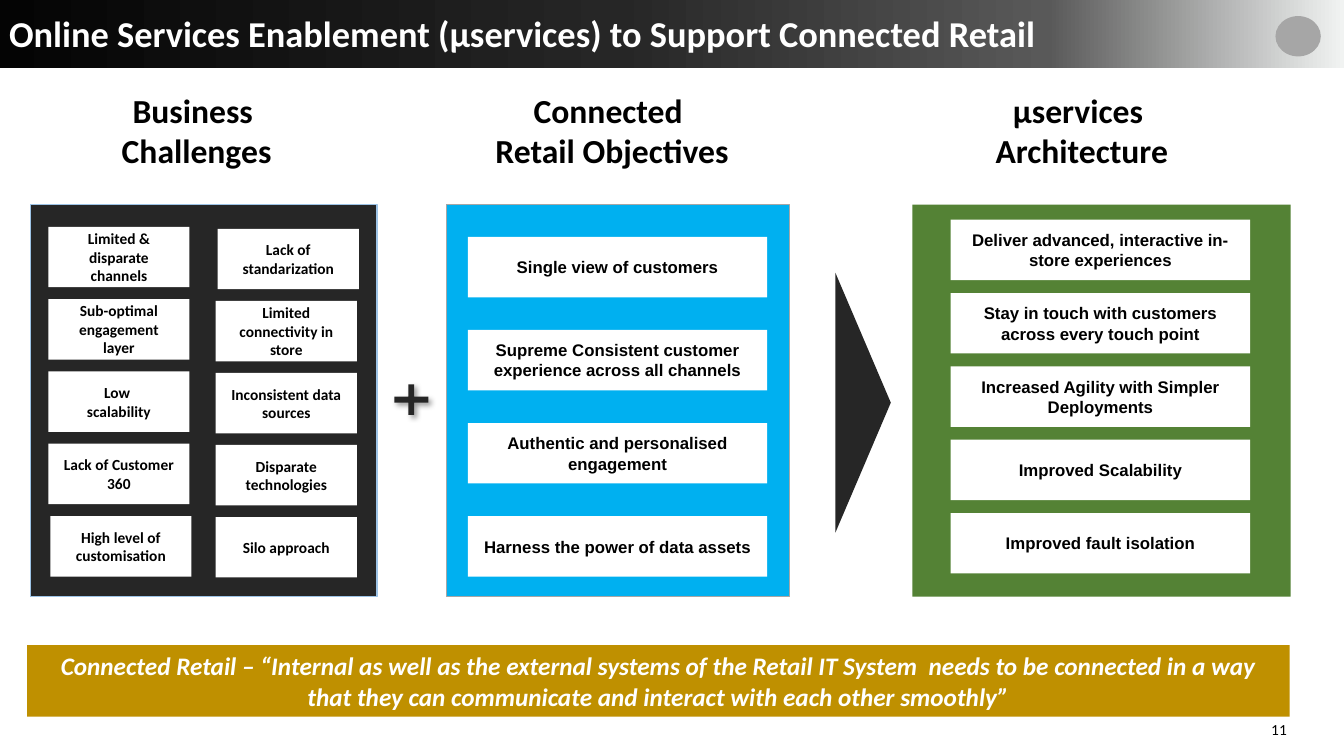
import copy

import pptx
import pptx.dml.color
import pptx.enum.shapes
import pptx.enum.text
import pptx.oxml
import pptx.oxml.ns
import pptx.util
from pptx.util import Inches

SHAPE = pptx.enum.shapes.MSO_SHAPE
ALIGN = pptx.enum.text.PP_ALIGN
ANCHOR = pptx.enum.text.MSO_ANCHOR
qn = pptx.oxml.ns.qn

DARK, WHITE, BLACK, GREY = "262626", "FFFFFF", "000000", "A6A6A6"


def rgb(value):
    return pptx.dml.color.RGBColor.from_string(value)


class SlideBuilder:
    font = "Calibri"
    card_height = 0.6

    def __init__(self, prs):
        self.s = prs.slides.add_slide(prs.slide_layouts[5])

    def shape(self, kind, x, y, w, h, fill, line=None):
        sp = self.s.shapes.add_shape(kind, Inches(x), Inches(y), Inches(w), Inches(h))
        sp.shadow.inherit = False
        sp.fill.solid()
        sp.fill.fore_color.rgb = rgb(fill)
        if line:
            sp.line.color.rgb = rgb(line)
            sp.line.width = pptx.util.Pt(1)
        else:
            sp.line.fill.background()
        return sp

    def add_text(self, sp, text, size, color=BLACK, font=None, bold=True, italic=False,
                 align=ALIGN.CENTER, anchor=ANCHOR.MIDDLE, inset=(0.1, 0.05)):
        tf = sp.text_frame
        tf.word_wrap = True
        tf.auto_size = pptx.enum.text.MSO_AUTO_SIZE.NONE
        tf.vertical_anchor = anchor
        tf.margin_left = tf.margin_right = Inches(inset[0])
        tf.margin_top = tf.margin_bottom = Inches(inset[1])
        for i, line in enumerate(text.split("\n")):
            p = tf.add_paragraph() if i else tf.paragraphs[0]
            p.alignment = align
            r = p.add_run()
            r.text = line
            r.font.name = font or self.font
            r.font.size = pptx.util.Pt(size)
            r.font.bold = bold
            r.font.italic = italic
            r.font.color.rgb = rgb(color)

    def text_box(self, x, y, w, h, text, size, **style):
        sp = self.s.shapes.add_textbox(Inches(x), Inches(y), Inches(w), Inches(h))
        self.add_text(sp, text, size, anchor=ANCHOR.TOP, **style)

    def banner(self, stops):
        sp = self.shape(SHAPE.RECTANGLE, -0.02, 0, 13.35, 0.68, BLACK)
        sp.fill.gradient()
        sp.fill.gradient_angle = 0
        gs_list = sp._element.spPr.find(".//" + qn("a:gsLst"))
        while len(gs_list) < len(stops):
            gs_list.append(copy.deepcopy(gs_list[0]))
        for stop, (position, color) in zip(sp.fill.gradient_stops, stops):
            stop.position = position
            stop.color.rgb = rgb(color)

    def title(self, text):
        sp = self.s.shapes.title
        sp.left, sp.top, sp.width, sp.height = 0, 0, Inches(14.22), Inches(0.7)
        self.add_text(sp, text, 26, WHITE, align=ALIGN.LEFT, inset=(0.09, 0.05))
        p = sp.text_frame.paragraphs[0]
        p.line_spacing = 0.9
        p.space_before = pptx.util.Pt(0)
        self.s.shapes._spTree.append(sp._element)  # in front of the banner

    def plus(self, x, y, w, h):
        sp = self.shape(SHAPE.MATH_PLUS, x, y, w, h, DARK)
        sp.adjustments[0] = 0.14
        sp._element.spPr.find(qn("a:effectLst")).append(pptx.oxml.parse_xml(
            f'<a:outerShdw {pptx.oxml.ns.nsdecls("a")} blurRad="50800" dist="38100" '
            'dir="2700000" algn="tl" rotWithShape="0"><a:srgbClr val="000000">'
            '<a:alpha val="40000"/></a:srgbClr></a:outerShdw>'))

    def panel(self, x, w, fill, line, heading, heading_x):
        self.shape(SHAPE.RECTANGLE, x, 2.03, w, 3.89, fill, line)
        self.text_box(heading_x, 0.84, 4.04, 0.91, heading, 24)

    def card_stack(self, lefts, first_top, last_top, w, texts, size, font=None):
        pitch = (last_top - first_top) / (len(texts) - 1)
        for i, (x, text) in enumerate(zip(lefts, texts)):
            sp = self.shape(SHAPE.RECTANGLE, x, first_top + i * pitch, w,
                            self.card_height, WHITE)
            self.add_text(sp, text, size, font=font, inset=(0.14, 0.07))


def main():
    prs = pptx.Presentation()
    prs.slide_width, prs.slide_height = Inches(13.33), Inches(7.5)
    b = SlideBuilder(prs)

    # Header
    b.banner([(0, "040404"), (0.46, DARK), (0.78, "595959"), (1, "F1F3F2")])
    b.shape(SHAPE.OVAL, 12.65, 0.16, 0.45, 0.4, GREY)
    b.title("Online Services Enablement (μservices) to Support Connected Retail")
    b.text_box(12.51, 7.09, 3, 0.4, "11", 11, bold=False, align=ALIGN.LEFT)

    # Signs between the panels
    b.plus(3.85, 3.76, 0.46, 0.41)
    arrow = b.shape(SHAPE.ISOSCELES_TRIANGLE, 7.27, 3.72, 2.58, 0.55, DARK)
    arrow.rotation = 90

    # Business challenges: two columns of cards
    b.panel(0.3, 3.44, DARK, "9DC3E6", "Business \nChallenges", -0.07)
    b.card_stack([0.48] * 4 + [0.5], 2.25, 5.12, 1.4, [
        "Limited & disparate channels",
        "Sub-optimal engagement layer",
        "Low \nscalability",
        "Lack of Customer 360",
        "High level of customisation",
    ], 11)
    b.card_stack([2.16] + [2.14] * 4, 2.27, 5.13, 1.4, [
        "Lack of standarization",
        "Limited connectivity in store",
        "Inconsistent data sources",
        "Disparate technologies",
        "Silo approach",
    ], 11)

    # Retail objectives
    b.panel(4.43, 3.4, "00B0F0", GREY, "Connected \nRetail Objectives", 4.05)
    b.card_stack([4.64] * 4, 2.35, 5.12, 2.97, [
        "Single view of customers",
        "Supreme Consistent customer experience across all channels",
        "Authentic and personalised engagement",
        "Harness the power of data assets",
    ], 12, "Arial")

    # Architecture benefits
    b.panel(9.05, 3.75, "548235", None, "μservices \nArchitecture", 8.71)
    b.card_stack([9.43] * 5, 2.18, 5.09, 2.97, [
        "Deliver advanced, interactive in-store experiences",
        "Stay in touch with customers across every touch point",
        "Increased Agility with Simpler Deployments",
        "Improved Scalability",
        "Improved fault isolation",
    ], 12, "Arial")

    # Closing statement
    closing = b.shape(SHAPE.RECTANGLE, 0.27, 6.4, 12.52, 0.71, "BF9000")
    b.add_text(closing, "Connected Retail – “Internal as well as the external systems of "
               "the Retail IT System  needs to be connected in a way that they can "
               "communicate and interact with each other smoothly”", 18, WHITE, italic=True)

    prs.save("out.pptx")


if __name__ == "__main__":
    main()
